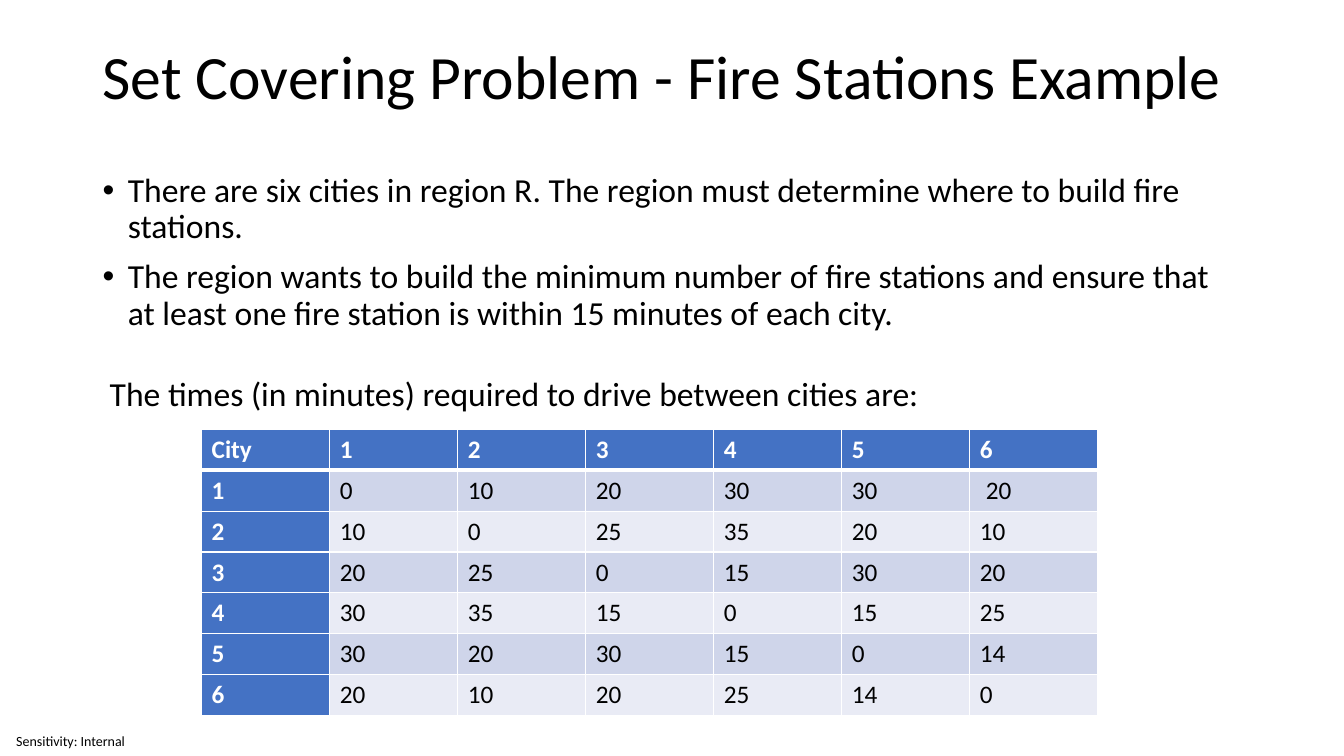
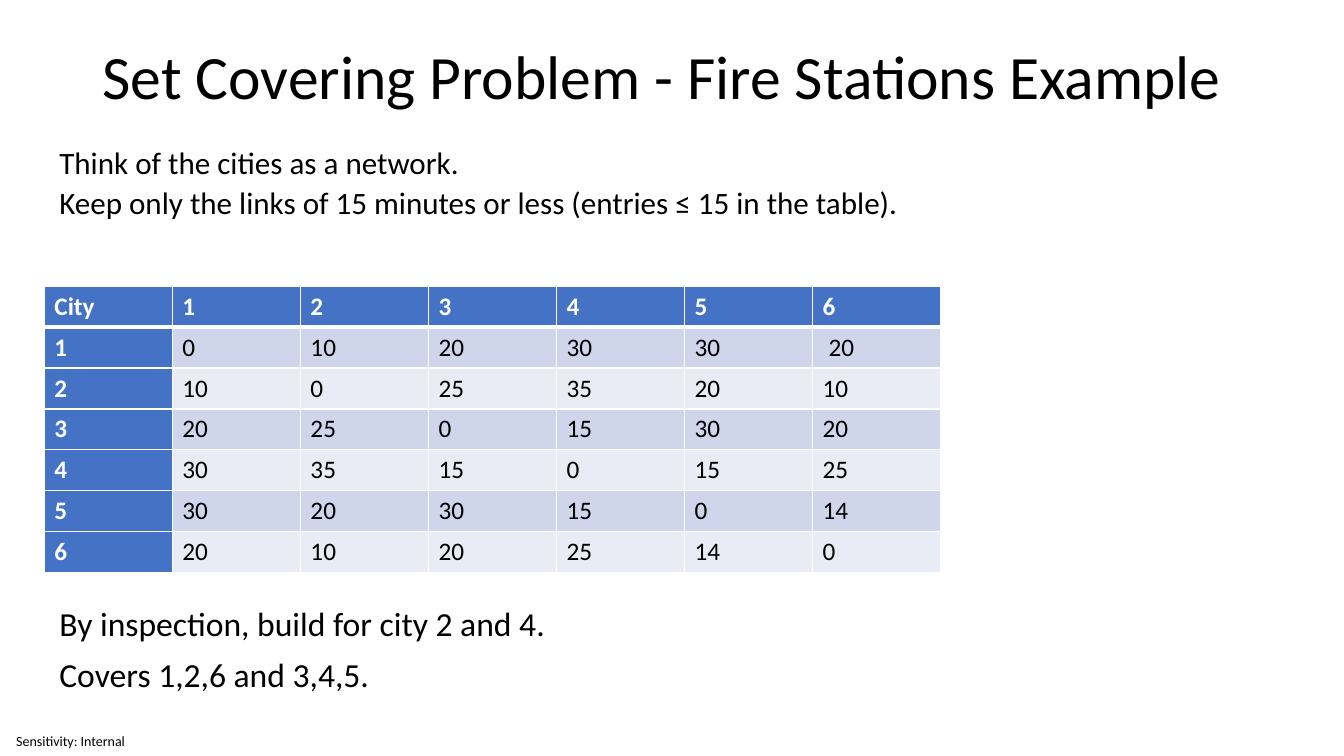
from pptx import Presentation
from pptx.dml.color import RGBColor
from pptx.enum.text import MSO_ANCHOR as Anchor, PP_ALIGN as Align
from pptx.oxml import parse_xml
from pptx.oxml.ns import nsdecls
from pptx.util import Inches, Pt

FONT = "Calibri"
BLACK = RGBColor(0x00, 0x00, 0x00)
WHITE = RGBColor(0xFF, 0xFF, 0xFF)
BLUE = RGBColor(0x44, 0x72, 0xC4)
BANDS = RGBColor(0xCF, 0xD5, 0xEA), RGBColor(0xE9, 0xEB, 0xF5)

TITLE = "Set Covering Problem - Fire Stations Example"
FOOTER = "Sensitivity: Internal"
TITLE_AREA = 0.92, 0.4, 11.5, 0.77
FOOTER_AREA = 0, 7.21, 1.4, 0.29
TABLE_SIZE = 8.89, 2.84
CITIES = ["1", "2", "3", "4", "5", "6"]
TIMES = [
    [0, 10, 20, 30, 30, 20],
    [10, 0, 25, 35, 20, 10],
    [20, 25, 0, 15, 30, 20],
    [30, 35, 15, 0, 15, 25],
    [30, 20, 30, 15, 0, 14],
    [20, 10, 20, 25, 14, 0],
]
NUDGED_CELL = 1, 6

BULLET = dict(bullet=True, size=24)
PLAIN = dict(size=24)
TIGHT = dict(size=22.2, spacing=0.7)

SLIDES = [
    dict(
        table_at=(2, 4.26),
        boxes=[
            ((0.92, 1.67, 11.5, 5.09), [
                ("There are six cities in region R. The region must determine "
                 "where to build fire stations.", BULLET),
                ("The region wants to build the minimum number of fire stations "
                 "and ensure that at least one fire station is within 15 minutes "
                 "of each city.", BULLET),
                ("The times (in minutes) required to drive between cities are:",
                 dict(size=24, before=32, indent=0.07)),
            ]),
        ],
    ),
    dict(
        table_at=(0.44, 2.84),
        boxes=[
            ((0.49, 1.47, 10.03, 1.08), [
                ("Think of the cities as a network.", TIGHT),
                ("Keep only the links of 15 minutes or less "
                 "(entries ≤ 15 in the table).", TIGHT),
            ]),
            ((0.49, 5.98, 10.03, 1.08), [
                ("By inspection, build for city 2 and 4.", PLAIN),
                ("Covers 1,2,6 and 3,4,5.", PLAIN),
            ]),
        ],
    ),
]


def write(para, text, size=18, color=BLACK, bold=False, spacing=0.9,
          before=0, indent=0, bullet=False, align=Align.LEFT):
    props = para._p.get_or_add_pPr()
    if bullet:
        props.set("marL", str(Inches(0.25)))
        props.set("indent", str(-Inches(0.25)))
        props.append(parse_xml(f'<a:buFont {nsdecls("a")} typeface="Arial"/>'))
        props.append(parse_xml(f'<a:buChar {nsdecls("a")} char="•"/>'))
    elif indent:
        props.set("marL", str(Inches(indent)))
    para.alignment = align
    para.line_spacing = spacing
    para.space_before = Pt(before)
    span = para.add_run()
    span.text = text
    font = span.font
    font.name, font.size, font.bold = FONT, Pt(size), bold
    font.color.rgb = color


def add_text(page, area, lines, anchor=Anchor.TOP, inset=None):
    frame = page.shapes.add_textbox(*map(Inches, area)).text_frame
    frame.word_wrap = True
    frame.vertical_anchor = anchor
    if inset is not None:
        frame.margin_left = frame.margin_right = Inches(inset)
        frame.margin_top = frame.margin_bottom = Inches(inset)
    for i, (text, style) in enumerate(lines):
        para = frame.add_paragraph() if i else frame.paragraphs[0]
        write(para, text, **({"before": 10 if i else 0} | style))


def set_borders(cell, **widths):
    props = cell._tc.get_or_add_tcPr()
    for side in "LRTB":
        props.append(parse_xml(
            f'<a:ln{side} {nsdecls("a")} w="{Pt(widths.get(side, 1))}">'
            f'<a:solidFill><a:srgbClr val="{WHITE}"/></a:solidFill></a:ln{side}>'))


def add_times_table(page, left, top):
    rows = [["City", *CITIES]]
    rows += [[city, *map(str, times)] for city, times in zip(CITIES, TIMES)]
    count = len(rows)
    area = map(Inches, (left, top, *TABLE_SIZE))
    table = page.shapes.add_table(count, count, *area).table
    table.first_row = table.horz_banding = False
    for r, row in enumerate(rows):
        for c, text in enumerate(row):
            cell = table.cell(r, c)
            heading = r == 0 or c == 0
            set_borders(cell, T=3 if r == 1 else 1, B=3 if r == 0 else 1)
            cell.fill.solid()
            cell.fill.fore_color.rgb = BLUE if heading else BANDS[(r - 1) % 2]
            write(cell.text_frame.paragraphs[0], text, bold=heading, spacing=1.0,
                  color=WHITE if heading else BLACK,
                  indent=0.06 if (r, c) == NUDGED_CELL else 0)


def main():
    deck = Presentation()
    deck.slide_width, deck.slide_height = Inches(13.33), Inches(7.5)
    for content in SLIDES:
        page = deck.slides.add_slide(deck.slide_layouts[6])
        add_text(page, FOOTER_AREA, [(FOOTER, dict(size=10, spacing=1.0, align=Align.CENTER))],
                 anchor=Anchor.MIDDLE, inset=0)
        add_text(page, TITLE_AREA, [(TITLE, dict(size=44))], anchor=Anchor.MIDDLE)
        for area, lines in content["boxes"]:
            add_text(page, area, lines)
        add_times_table(page, *content["table_at"])
    deck.save("out.pptx")


if __name__ == "__main__":
    main()
